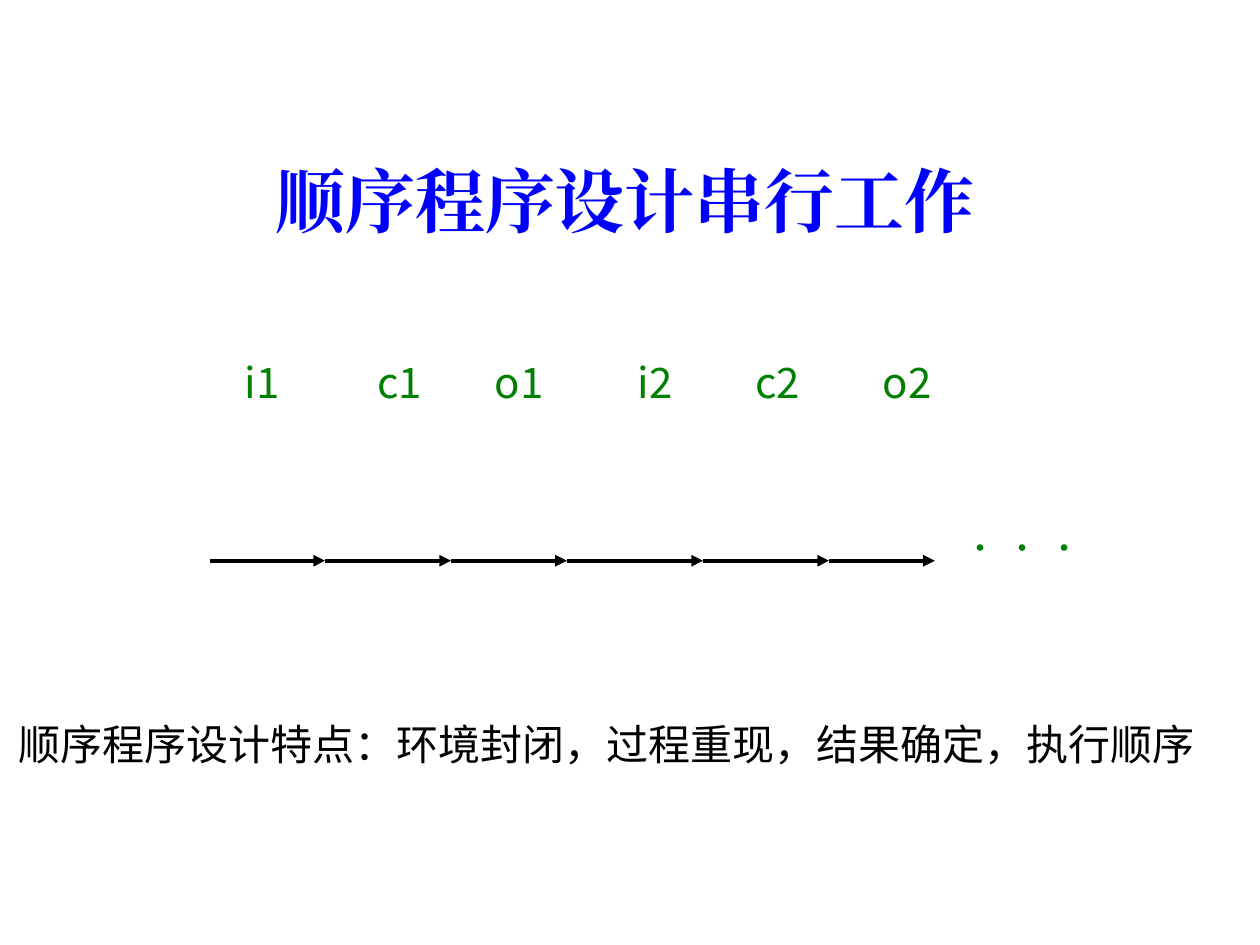
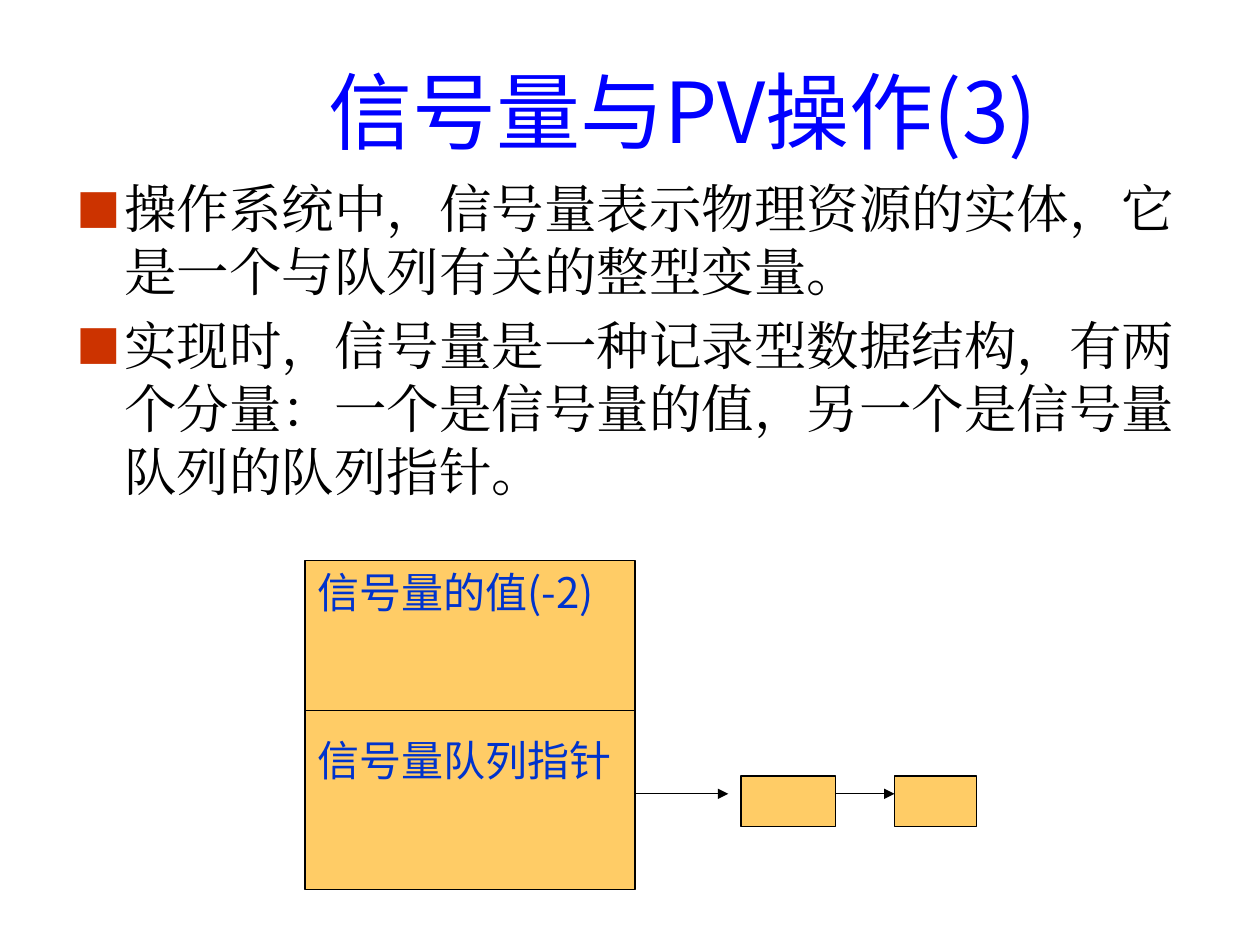
from itertools import pairwise

from lxml.etree import SubElement
from pptx import Presentation
from pptx.dml.color import RGBColor
from pptx.enum.shapes import MSO_CONNECTOR as Connector, MSO_SHAPE as Shape
from pptx.enum.text import MSO_ANCHOR as Anchor, MSO_AUTO_SIZE as AutoSize, PP_ALIGN as Align
from pptx.oxml.ns import qn
from pptx.util import Inches, Pt

TITLE_BLUE = RGBColor(0x00, 0x00, 0xFF)
LABEL_GREEN = RGBColor(0x00, 0x80, 0x00)
CELL_BLUE = RGBColor(0x00, 0x33, 0xCC)
CELL_ORANGE = RGBColor(0xFF, 0xCC, 0x66)
BULLET_RED = "CC3300"
BLACK = RGBColor(0x00, 0x00, 0x00)

SANS_SC = "Noto Sans CJK SC"
SANS_JP = "Noto Sans CJK JP"
SERIF = "Times New Roman"


def add_bullet(para):
    properties = para._p.get_or_add_pPr()
    properties.set("marL", str(Inches(0.38)))
    properties.set("indent", str(-Inches(0.38)))
    color = SubElement(properties, qn("a:buClr"))
    SubElement(color, qn("a:srgbClr"), val=BULLET_RED)
    SubElement(properties, qn("a:buSzPct"), val="85000")
    SubElement(properties, qn("a:buFont"), typeface=SANS_SC)
    SubElement(properties, qn("a:buChar"), char="■")


def write(shape, *lines, size, color=BLACK, font=SANS_SC, bold=False, align=Align.LEFT,
          anchor=Anchor.TOP, inset=None, gap=0, line_height=None, bullet=False):
    frame = shape.text_frame
    frame.word_wrap = True
    frame.auto_size = AutoSize.NONE
    frame.vertical_anchor = anchor
    if inset is not None:
        frame.margin_left = frame.margin_right = Inches(inset)
        frame.margin_top = frame.margin_bottom = Inches(inset)
    for index, line in enumerate(lines):
        para = frame.add_paragraph() if index else frame.paragraphs[0]
        if bullet:
            add_bullet(para)
        para.alignment = align
        if index:
            para.space_before = Pt(gap)
        if line_height:
            para.line_spacing = Pt(line_height)
        span = para.add_run()
        span.text = line
        span.font.size = Pt(size)
        span.font.name = font
        span.font.bold = bold
        span.font.color.rgb = color
        latin = span.font._element.find(qn("a:latin"))
        east_asian = SubElement(span.font._element, qn("a:ea"), typeface=font)
        latin.addnext(east_asian)


def add_titled_page(deck, title, left, top, width, height, **style):
    page = deck.slides.add_slide(deck.slide_layouts[5])
    box = page.shapes.title
    box.left, box.top = Inches(left), Inches(top)
    box.width, box.height = Inches(width), Inches(height)
    write(box, title, color=TITLE_BLUE, align=Align.CENTER, anchor=Anchor.MIDDLE, **style)
    return page


def add_text(page, left, top, width, height, *lines, **style):
    box = page.shapes.add_textbox(Inches(left), Inches(top), Inches(width), Inches(height))
    write(box, *lines, **style)


def add_cell(page, left, top, width, height):
    cell = page.shapes.add_shape(
        Shape.RECTANGLE, Inches(left), Inches(top), Inches(width), Inches(height))
    cell.shadow.inherit = False
    cell.fill.solid()
    cell.fill.fore_color.rgb = CELL_ORANGE
    cell.line.color.rgb = BLACK
    cell.line.width = Pt(0.75)
    return cell


def add_line(page, start, end, y, width=0.75, arrow=True):
    line = page.shapes.add_connector(
        Connector.STRAIGHT, Inches(start), Inches(y), Inches(end), Inches(y))
    line.line.color.rgb = BLACK
    line.line.width = Pt(width)
    if arrow:
        SubElement(line.line._get_or_add_ln(), qn("a:tailEnd"), type="triangle")
    SubElement(line._element.spPr, qn("a:effectLst"))


def build_sequence_page(deck):
    page = add_titled_page(deck, "顺序程序设计串行工作", 0.71, 1.13, 8.5, 0.9,
                           size=40, font=SERIF, bold=True)
    label_style = dict(size=24, color=LABEL_GREEN, align=Align.CENTER, inset=0)
    centers = (2.08, 3.17, 4.12, 5.2, 6.17, 7.2)
    for label, center in zip(("i1", "c1", "o1", "i2", "c2", "o2"), centers):
        add_text(page, center - 0.3, 2.83, 0.6, 0.8, label, **label_style)
    add_text(page, 7.57, 4.04, 1.26, 0.71, "．．．", **label_style)
    for start, end in pairwise((1.67, 2.58, 3.58, 4.5, 5.58, 6.58, 7.42)):
        add_line(page, start, end, 4.45, width=2.25)
    add_text(page, 0.05, 5.65, 9.9, 1.07,
             "顺序程序设计特点：环境封闭，过程重现，结果确定，执行顺序", size=24, font="Karla")


def build_semaphore_page(deck):
    page = add_titled_page(deck, "信号量与PV操作(3)", 0.92, 0.25, 9, 1.25,
                           size=48, font=SANS_JP)
    add_text(page, 0.51, 1.35, 9.06, 2.9,
             "操作系统中，信号量表示物理资源的实体，它是一个与队列有关的整型变量。",
             "实现时，信号量是一种记录型数据结构，有两个分量：一个是信号量的值，另一个是信号量队列的队列指针。",
             size=30, font=SERIF, gap=6, line_height=36, bullet=True)
    record_left, record_right, pointer_y = 2.42, 5.04, 6.3
    record = add_cell(page, record_left, 4.45, record_right - record_left, 2.61)
    write(record, "信号量的值(-2)", "信号量队列指针", size=24, color=CELL_BLUE,
          font=SANS_JP, gap=67)
    add_line(page, record_left, record_right, 5.64, arrow=False)
    add_line(page, record_right, 5.78, pointer_y)
    for left, width in ((5.88, 0.75), (7.1, 0.65)):
        add_cell(page, left, 6.16, width, 0.4)
    add_line(page, 6.63, 7.1, pointer_y)


def main():
    deck = Presentation()
    deck.slide_width, deck.slide_height = Inches(10), Inches(7.5)
    build_sequence_page(deck)
    build_semaphore_page(deck)
    deck.save("out.pptx")


if __name__ == "__main__":
    main()
